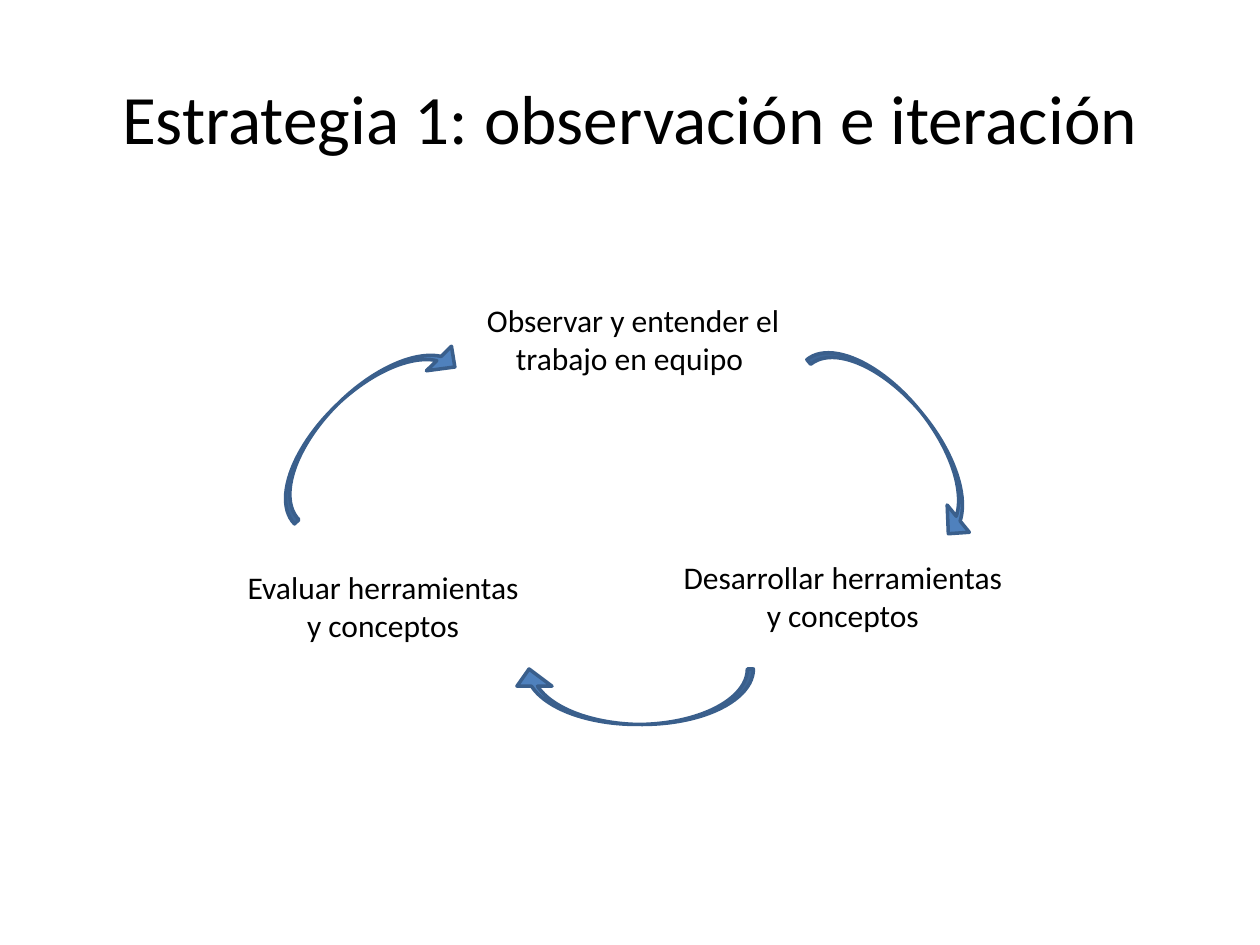
from dataclasses import dataclass
from pptx import Presentation
from pptx.dml.color import RGBColor
from pptx.enum.shapes import MSO_SHAPE
from pptx.enum.text import MSO_ANCHOR, MSO_AUTO_SIZE, PP_ALIGN
from pptx.util import Pt


@dataclass(frozen=True)
class Theme:
    font: str = "Calibri"
    ink: RGBColor = RGBColor(0, 0, 0)
    fill: RGBColor = RGBColor(0x4F, 0x81, 0xBD)
    edge: RGBColor = RGBColor(0x3A, 0x5F, 0x8C)
    title: float = 39.6
    body: float = 18


def apply(target, values):
    for name, value in values.items():
        setattr(target, name, value)


class Deck:
    def __init__(self, theme):
        self.theme = theme
        self.file = Presentation()
        apply(self.file, {"slide_width": Pt(720), "slide_height": Pt(540)})
        self.slide = self.file.slides.add_slide(self.file.slide_layouts[6])

    def text(self, box, words, size, frame):
        shape = self.slide.shapes.add_textbox(*map(Pt, box))
        body = shape.text_frame
        body.text = words
        apply(body, frame)
        for line in body.paragraphs:
            line.alignment = PP_ALIGN.CENTER
            for run in line.runs:
                apply(run.font, {"name": self.theme.font, "size": Pt(size)})
                run.font.color.rgb = self.theme.ink

    def title(self, box, words):
        frame = {"word_wrap": True, "vertical_anchor": MSO_ANCHOR.MIDDLE}
        self.text(box, words, self.theme.title, frame)

    def label(self, box, words):
        frame = {"word_wrap": False, "auto_size": MSO_AUTO_SIZE.SHAPE_TO_FIT_TEXT}
        self.text(box, words, self.theme.body, frame)

    def arrow(self, left, top, angle):
        box = map(Pt, (left, top, 138.24, 31.68))
        shape = self.slide.shapes.add_shape(MSO_SHAPE.CURVED_DOWN_ARROW, *box)
        for index, value in enumerate((0.11, 0.633, 0.309)):
            shape.adjustments[index] = value
        shape.rotation = angle
        shape.shadow.inherit = False
        shape.fill.solid()
        shape.fill.fore_color.rgb = self.theme.fill
        shape.line.color.rgb = self.theme.edge
        shape.line.width = Pt(2)


def main():
    deck = Deck(Theme())
    deck.title((36, 21.6, 648, 90), "Estrategia 1: observación e iteración")
    steps = [
        ((270, 168.5, 183.6, 51), "Observar y entender el\vtrabajo en equipo "),
        ((133.2, 321, 171.4, 51), "Evaluar herramientas\ny conceptos"),
        ((382.3, 315.4, 198.7, 51), "Desarrollar herramientas\ny conceptos"),
    ]
    for box, words in steps:
        deck.label(box, words)
    turns = [(137.5, 223.9, 315.6), (447.8, 233.3, 50.9), (292.3, 382.3, 180)]
    for left, top, angle in turns:
        deck.arrow(left, top, angle)
    deck.file.save("out.pptx")


if __name__ == "__main__":
    main()
